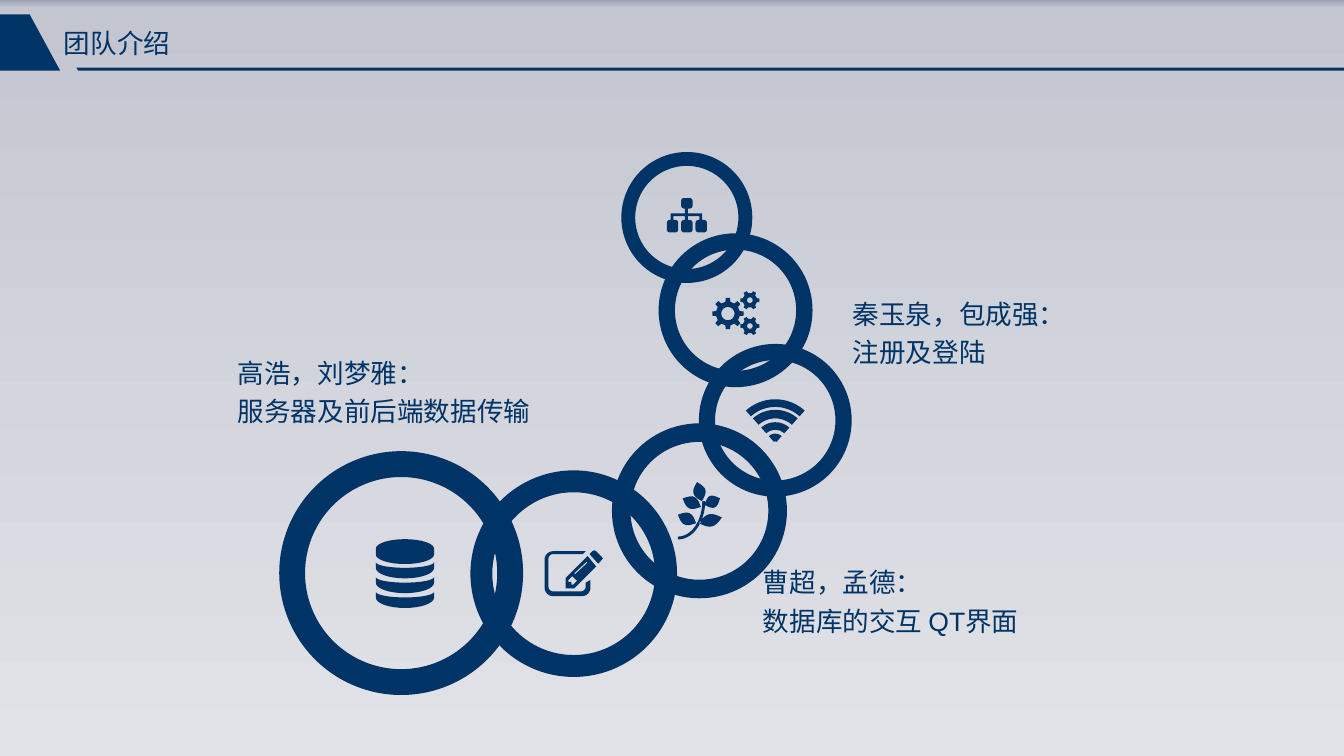
from collections import namedtuple
from copy import deepcopy
from dataclasses import dataclass
from math import cos, hypot, pi, radians, sin

from pptx import Presentation
from pptx.dml.color import RGBColor
from pptx.enum.shapes import MSO_SHAPE
from pptx.enum.text import MSO_ANCHOR, MSO_AUTO_SIZE, PP_ALIGN
from pptx.oxml.ns import qn
from pptx.util import Cm, Pt

Box = namedtuple("Box", "left top width height")


@dataclass(frozen=True)
class Theme:
    """Colours, type and line weights of the slide."""
    navy: RGBColor = RGBColor(0x00, 0x33, 0x66)
    background: tuple = ((0, "9BA0B4"), (0.01, "C3C6D0"), (1, "E2E3E8"))
    font: str = "Arial"
    size: Pt = Pt(20)
    ring_weight: float = 0.106
    grid: float = 2.54 / 100


THEME = Theme()


def paint(shape):
    """Give a shape the flat navy look."""
    shape.fill.solid()
    shape.fill.fore_color.rgb = THEME.navy
    shape.line.fill.background()
    shape.shadow.inherit = False


def draw(slide, left, top, contours):
    """Draw closed contours, in grid units, from a corner given in cm."""
    placed = [[(Cm(left + x * THEME.grid), Cm(top + y * THEME.grid)) for x, y in contour]
              for contour in contours]
    builder = slide.shapes.build_freeform(*placed[0][0])
    for number, points in enumerate(placed):
        if number:
            builder.move_to(*points[0])
        builder.add_line_segments(points[1:], close=True)
    paint(builder.convert_to_shape())


def arc(x, y, across, down, start, end, steps=16):
    """Return points on an elliptical arc, in degrees clockwise from the right."""
    angles = [radians(start + (end - start) * i / steps) for i in range(steps + 1)]
    return [(x + across * cos(a), y + down * sin(a)) for a in angles]


def rounded(left, top, width, height, radius=3):
    """Return a rectangle with rounded corners."""
    right, bottom = left + width - radius, top + height - radius
    corners = ((right, bottom), (left + radius, bottom),
               (left + radius, top + radius), (right, top + radius))
    return [point for i, (x, y) in enumerate(corners)
            for point in arc(x, y, radius, radius, 90 * i, 90 * i + 90, 4)]


def gear(x, y, radius, teeth):
    """Return the outline of a gear."""
    profile = ((-0.27, 0.76), (-0.17, 1), (0.17, 1), (0.27, 0.76))
    return [(x + radius * reach * cos(2 * pi * (tooth + turn) / teeth),
             y + radius * reach * sin(2 * pi * (tooth + turn) / teeth))
            for tooth in range(teeth) for turn, reach in profile]


def leaf(base, tip, half_width=6.5, steps=12):
    """Return a pointed leaf between two points."""
    across, down = tip[0] - base[0], tip[1] - base[1]
    length = hypot(across, down)

    def edge(t, side):
        swell = side * half_width * sin(pi * t) / length
        return base[0] + across * t - down * swell, base[1] + down * t + across * swell

    return ([edge(i / steps, 1) for i in range(steps + 1)]
            + [edge(i / steps, -1) for i in range(steps - 1, 0, -1)])


def tree_icon():
    """Return an organisation chart."""
    links = [(19, 11), (22, 11), (22, 16), (37, 16), (37, 23), (34, 23), (34, 19), (22, 19),
             (22, 23), (19, 23), (19, 19), (7, 19), (7, 23), (4, 23), (4, 16), (19, 16)]
    return [rounded(15, 0, 12, 11), links] + [rounded(x, 23, 12, 13) for x in (0, 15, 30)]


def gears_icon():
    """Return one large and two small gears."""
    gears = ((17, 23, 16.5, 8, 7), (40, 9, 10, 6, 3), (40, 36, 10, 6, 3))
    return [contour for x, y, radius, teeth, hole in gears
            for contour in (gear(x, y, radius, teeth), arc(x, y, hole, hole, 0, 360))]


def wifi_icon():
    """Return four signal bands around one centre."""
    return [arc(31.5, 46, outer, outer, 228, 312) + arc(31.5, 46, inner, inner, 312, 228)
            for outer, inner in ((46, 38), (35, 26), (22, 14), (10, 2))]


def plant_icon():
    """Return a curved stem with five leaves."""
    stem = arc(1, 20, 28.5, 40, 90, 0) + arc(1, 20, 25.5, 37, 0, 90)
    leaves = (((26, 20), (21, 0)), ((25, 26), (6, 17)), ((29, 24), (45, 17)),
              ((20, 43), (1, 34)), ((23, 43), (47, 37)))
    return [stem] + [leaf(base, tip) for base, tip in leaves]


def edit_icon():
    """Return a pencil over an open frame."""
    frame = (arc(39, 39, 9, 9, 0, 90) + arc(9, 39, 9, 9, 90, 180)
             + arc(9, 10, 9, 9, 180, 270) + [(43, 1), (40, 4)]
             + arc(9, 9, 5, 5, 270, 180) + arc(9, 38, 5, 5, 180, 90)
             + arc(38, 38, 5, 5, 90, 0) + [(43, 34), (48, 31)])
    pencil = [(54, 17), (31, 40), (22, 40), (22, 29), (45, 6)]
    tip = [(34, 32), (29, 27), (25, 31), (25, 33), (28, 33), (28, 36), (30, 36)]
    slit = [(44, 12), (31, 24), (32, 25), (45, 13)]
    eraser = [(56, 14), (47, 4), (50, 1), (52, 0), (54, 1), (59, 6), (61, 8.5), (59, 11)]
    return [frame, pencil, tip, slit, eraser]


def database_icon():
    """Return a lid and three bands of a cylinder."""
    lid = arc(30.5, 10, 30.5, 10, 180, 360) + arc(30.5, 16, 30.5, 10, 0, 180)
    return [lid] + [arc(30.5, y, 30.5, 6, 180, 0) + arc(30.5, y + 6, 30.5, 11, 0, 180)
                    for y in (24, 39.5, 55)]


def add_ring(slide, box, icon, grid_size, shift):
    """Place a ring in the box and its icon around the middle."""
    ring = slide.shapes.add_shape(MSO_SHAPE.DONUT, *map(Cm, box))
    ring.adjustments[0] = THEME.ring_weight
    paint(ring)
    left = box.left + (box.width - grid_size[0] * THEME.grid) / 2 + shift[0]
    top = box.top + (box.height - grid_size[1] * THEME.grid) / 2 + shift[1]
    draw(slide, left, top, icon())


def write(shape, lines, line_spacing=1.0):
    """Write left-aligned navy lines without margins."""
    frame = shape.text_frame
    frame.word_wrap = True
    frame.auto_size = MSO_AUTO_SIZE.NONE
    frame.margin_left = frame.margin_top = frame.margin_right = frame.margin_bottom = 0
    frame.text = "\n".join(lines)
    for paragraph in frame.paragraphs:
        paragraph.alignment = PP_ALIGN.LEFT
        paragraph.line_spacing = line_spacing
        paragraph.font.name = THEME.font
        paragraph.font.size = THEME.size
        paragraph.font.color.rgb = THEME.navy


def add_member_note(slide, box, lines):
    """Place the names and task of one pair in the box."""
    note = slide.shapes.add_textbox(*map(Cm, box))
    note.text_frame.vertical_anchor = MSO_ANCHOR.TOP
    write(note, lines, 1.2)


def add_header(slide, box, text):
    """Place the tab, the title and the rule in the box."""
    draw(slide, box.left, box.top, [[(0, 0), (31, 0), (63, 59), (0, 59)]])
    draw(slide, box.left + 2.03, box.top + 1.42, [[(0, 0), (1326, 0), (1326, 3), (2, 3)]])
    title = slide.shapes.title
    title.left, title.top = Cm(box.left + 1.7), Cm(box.top + 0.33)
    title.width, title.height = Cm(8.5), Cm(0.87)
    title.text_frame.vertical_anchor = MSO_ANCHOR.MIDDLE
    write(title, [text])


def set_background(slide):
    """Fill the background with the vertical three-stop gradient."""
    fill = slide.background.fill
    fill.gradient()
    fill.gradient_angle = 270
    stop_list = slide.element.find(".//" + qn("a:gsLst"))
    stop_list.append(deepcopy(stop_list[0]))
    for stop, (position, colour) in zip(fill.gradient_stops, THEME.background):
        stop.position = position
        stop.color.rgb = RGBColor.from_string(colour)


def build_team_slide(presentation):
    """Build the team slide."""
    slide = presentation.slides.add_slide(presentation.slide_layouts[5])
    set_background(slide)
    rings = (
        (16.51, 4.04, 3.48, tree_icon, (42, 36), (0, -0.06)),
        (17.5, 6.2, 4.09, gears_icon, (50, 46), (0, 0.09)),
        (18.57, 9.14, 4.06, wifi_icon, (63, 44), (0, 0)),
        (16.26, 11.25, 4.65, plant_icon, (47, 60), (0, 0)),
        (12.5, 12.5, 5.49, edit_icon, (61, 49), (0, 0)),
        (7.42, 11.99, 6.48, database_icon, (61, 71), (0.1, 0)),
    )
    for left, top, size, icon, grid_size, shift in rings:
        add_ring(slide, Box(left, top, size, size), icon, grid_size, shift)
    notes = (
        (Box(6.32, 9.32, 7.95, 2.06), ("高浩，刘梦雅：", "服务器及前后端数据传输")),
        (Box(20.27, 14.88, 6.88, 1.96), ("曹超，孟德：", "数据库的交互 QT界面")),
        (Box(22.66, 7.75, 7.85, 1.96), ("秦玉泉，包成强：", "注册及登陆")),
    )
    for box, lines in notes:
        add_member_note(slide, box, lines)
    add_header(slide, Box(0, 0.38, 35.71, 1.5), "团队介绍")


def main():
    """Create and save the presentation."""
    presentation = Presentation()
    presentation.slide_width, presentation.slide_height = Cm(35.71), Cm(20.09)
    build_team_slide(presentation)
    presentation.save("out.pptx")


if __name__ == "__main__":
    main()
